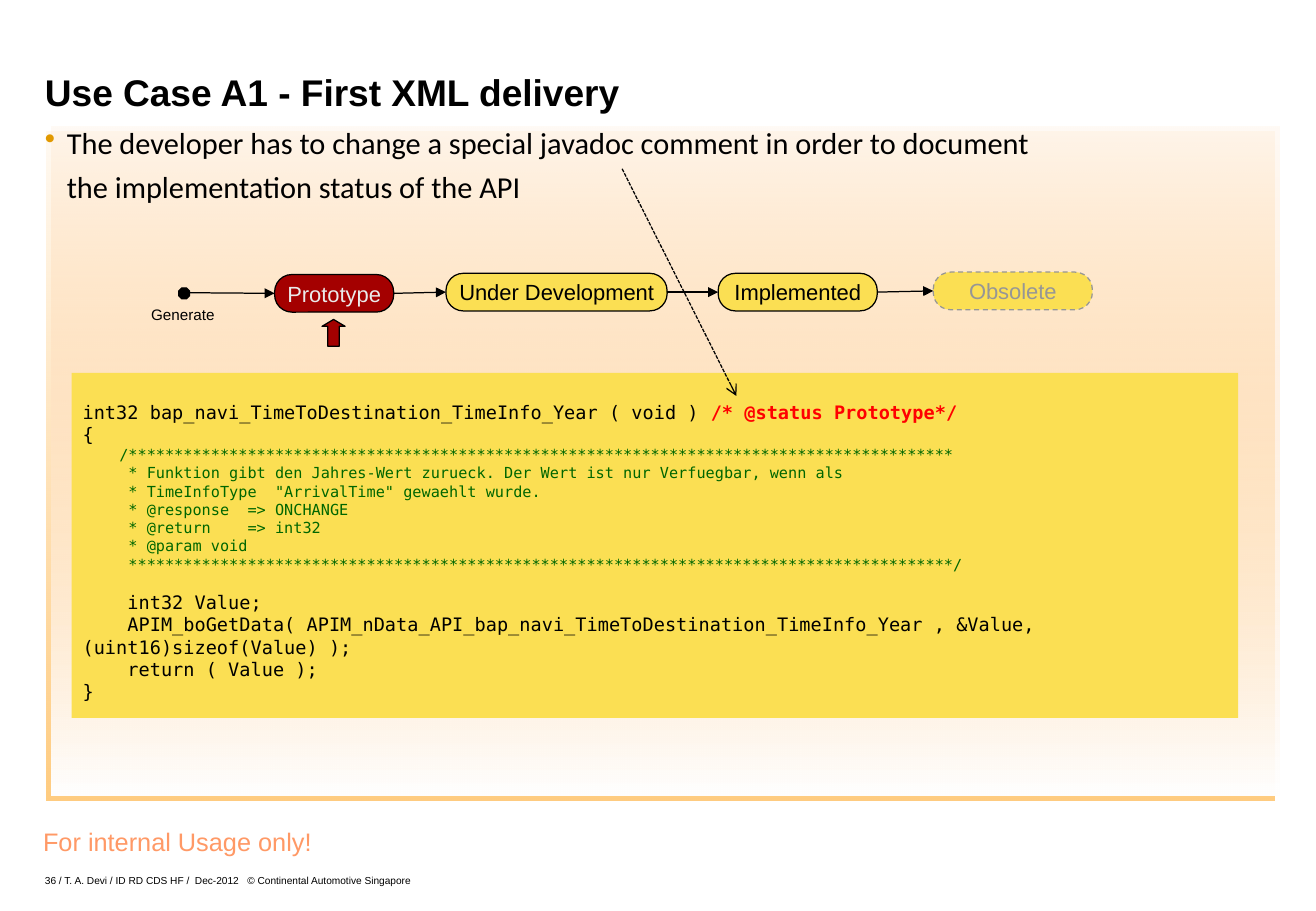
from itertools import pairwise

from lxml.etree import SubElement
from pptx import Presentation
from pptx.dml.color import RGBColor
from pptx.enum.dml import MSO_LINE
from pptx.enum.shapes import MSO_CONNECTOR, MSO_SHAPE
from pptx.enum.text import MSO_ANCHOR, PP_ALIGN
from pptx.oxml import parse_xml
from pptx.oxml.ns import nsdecls, qn
from pptx.util import Emu, Pt

SCALE = 9144
COLORS = {
    "black": "000000", "yellow": "FBDF53", "dark_red": "A40000", "red": "FF0000",
    "green": "006600", "gray": "969696", "light": "EAEAEA", "bullet": "E19900",
    "notice": "FF9966", "peach": "FFCC99", "white": "FFFFFF", "shadow": "FF9900",
}
MONO = "DejaVu Sans Mono"
STARS = "*" * 90
COMMENT_LINES = [
    "    /" + STARS,
    "     * Funktion gibt den Jahres-Wert zurueck. Der Wert ist nur Verfuegbar, wenn als",
    '     * TimeInfoType  "ArrivalTime" gewaehlt wurde.',
    "     * @response  => ONCHANGE",
    "     * @return    => int32",
    "     * @param void",
    "     " + STARS + "/",
]
BODY_LINES = [
    "    int32 Value;",
    "    APIM_boGetData( APIM_nData_API_bap_navi_TimeToDestination_TimeInfo_Year , "
    "&Value, (uint16)sizeof(Value) );",
    "    return ( Value );",
    "}",
]
STATES = [
    ("Prototype", 117, 2, 98, "dark_red", "light", "black"),
    ("Under Development", 258, 1, 182, "yellow", "black", "black"),
    ("Implemented", 482, 1, 131, "yellow", "black", "black"),
    ("Obsolete", 659, 0, 131, "yellow", "gray", "gray"),
]


def px(*lengths):
    """Turn px lengths into EMU."""
    return [Emu(length * SCALE) for length in lengths]


def rgb(name):
    """Look up a named colour."""
    return RGBColor.from_string(COLORS[name])


def write(paragraph, text, size=11, font="Arial", color="black", bold=False,
          align=None, line=None, before=None, after=None):
    """Add formatted text to a paragraph."""
    run = paragraph.add_run()
    run.text = text
    run.font.size, run.font.name, run.font.bold = Pt(size), font, bold
    run.font.color.rgb = rgb(color)
    if align is not None:
        paragraph.alignment = align
    if line is not None:
        paragraph.line_spacing = Pt(line)
    if before is not None:
        paragraph.space_before = Pt(before)
    if after is not None:
        paragraph.space_after = Pt(after)


def set_frame(shape, margins=(0, 0, 0, 0), anchor=MSO_ANCHOR.TOP, wrap=True):
    """Set up a text frame and return it."""
    frame = shape.text_frame
    frame.word_wrap, frame.vertical_anchor = wrap, anchor
    (frame.margin_left, frame.margin_top,
     frame.margin_right, frame.margin_bottom) = px(*margins)
    return frame


def add_label(slide, box, text, margins=(0, 0, 0, 0), anchor=MSO_ANCHOR.BOTTOM,
              wrap=True, **text_format):
    """Add a text box with one paragraph."""
    frame = set_frame(slide.shapes.add_textbox(*px(*box)), margins, anchor, wrap)
    write(frame.paragraphs[0], text, **text_format)


def add_figure(slide, kind, box, fill, line=None, adjustments=()):
    """Add a preset shape with plain fill and line."""
    shape = slide.shapes.add_shape(kind, *px(*box))
    shape.shadow.inherit = False
    for index, value in enumerate(adjustments):
        shape.adjustments[index] = value
    shape.fill.solid()
    shape.fill.fore_color.rgb = rgb(fill)
    if line:
        shape.line.color.rgb, shape.line.width = rgb(line), Pt(0.75)
    else:
        shape.line.fill.background()
    return shape


def add_arrow(slide, start, end, head="triangle", dash=None):
    """Add a thin black arrow."""
    arrow = slide.shapes.add_connector(MSO_CONNECTOR.STRAIGHT, *px(*start, *end))
    arrow.line.color.rgb, arrow.line.width = rgb("black"), Pt(0.75)
    if dash:
        arrow.line.dash_style = dash
    SubElement(arrow.line._get_or_add_ln(), qn("a:tailEnd"), type=head)
    SubElement(arrow._element.spPr, qn("a:effectLst"))
    return arrow


def add_panel(slide, box):
    """Add the fading panel with its offset shadow."""
    panel = add_figure(slide, MSO_SHAPE.RECTANGLE, box, "white")
    properties = panel._element.spPr
    gradient = parse_xml(
        f'<a:gradFill {nsdecls("a")} rotWithShape="1"><a:gsLst><a:gs pos="0">'
        f'<a:srgbClr val="{COLORS["peach"]}"><a:alpha val="10000"/></a:srgbClr></a:gs>'
        f'<a:gs pos="100000"><a:srgbClr val="{COLORS["white"]}"/></a:gs></a:gsLst>'
        '<a:lin ang="5400000" scaled="1"/></a:gradFill>')
    properties.replace(properties.find(qn("a:solidFill")), gradient)
    shadow = SubElement(properties.find(qn("a:effectLst")), qn("a:outerShdw"),
                        dist=str(Pt(4.2)), dir="8100000", algn="ctr", rotWithShape="0")
    color = SubElement(shadow, qn("a:srgbClr"), val=COLORS["shadow"])
    SubElement(color, qn("a:alpha"), val="50000")


def add_statement(slide, box):
    """Add the bulleted statement and its continuation line."""
    frame = set_frame(slide.shapes.add_textbox(*px(*box)))
    first, second = frame.paragraphs[0], frame.add_paragraph()
    text_format = {"size": 18, "font": "Calibri", "line": 16.5, "after": 9.9}
    write(first, "The developer has to change a special javadoc comment in order to document",
          **text_format)
    write(second, "the implementation status of the API", **text_format)
    indent = px(18)[0]
    for paragraph, hanging in ((first, -indent), (second, 0)):
        properties = paragraph._p.get_or_add_pPr()
        properties.set("marL", str(indent))
        properties.set("indent", str(hanging))
    properties = first._p.get_or_add_pPr()
    color = SubElement(properties, qn("a:buClr"))
    SubElement(color, qn("a:srgbClr"), val=COLORS["bullet"])
    SubElement(properties, qn("a:buChar"), char="•")


def add_code(slide, box):
    """Add the code listing."""
    listing = add_figure(slide, MSO_SHAPE.RECTANGLE, box, "yellow")
    frame = set_frame(listing, (9, 23, 9, 5))
    signature = frame.paragraphs[0]
    left = {"font": MONO, "align": PP_ALIGN.LEFT}
    write(signature, "int32 bap_navi_TimeToDestination_TimeInfo_Year ( void ) ", **left)
    write(signature, "/* @status Prototype*/", color="red", bold=True, **left)
    write(frame.add_paragraph(), "{", **left)
    for text in COMMENT_LINES:
        write(frame.add_paragraph(), text, size=9, color="green", **left)
    for index, text in enumerate(BODY_LINES):
        write(frame.add_paragraph(), text, before=0 if index else 10.5, **left)


def add_states(slide, box):
    """Add the row of states with its start point and marker."""
    left, top = box[:2]
    pills = []
    for text, offset, drop, width, fill, color, line in STATES:
        pill = add_figure(slide, MSO_SHAPE.ROUNDED_RECTANGLE,
                          (left + offset, top + drop, width, 31), fill, line, [0.46])
        frame = set_frame(pill, (9, 5, 9, 5), MSO_ANCHOR.MIDDLE, False)
        write(frame.paragraphs[0], text, size=13, color=color, align=PP_ALIGN.CENTER)
        pills.append(pill)
    pills[-1].line.dash_style = MSO_LINE.DASH
    add_figure(slide, MSO_SHAPE.OCTAGON, (left + 38, top + 13, 9, 9), "black", "black")
    add_label(slide, (left, top + 23, 83, 23), "Generate", (9, 5, 9, 5),
              MSO_ANCHOR.MIDDLE, False, size=9, align=PP_ALIGN.CENTER)
    entry = add_arrow(slide, (left + 47, top + 17), (left + 117, top + 17))
    entry.end_connect(pills[0], 1)
    for source, target in pairwise(pills):
        link = add_arrow(slide, (left, top), (left, top))
        link.begin_connect(source, 3)
        link.end_connect(target, 1)
    add_figure(slide, MSO_SHAPE.UP_ARROW, (left + 156, top + 39, 19, 22),
               "dark_red", "black", [0.5, 0.3])


def main():
    """Build and save the slide."""
    presentation = Presentation()
    presentation.slide_width, presentation.slide_height = px(1083, 750)
    slide = presentation.slides.add_slide(presentation.slide_layouts[6])
    add_panel(slide, (42, 104, 1011, 551))
    add_label(slide, (25, 675, 242, 35), "For internal Usage only!", (10, 5, 10, 5),
              MSO_ANCHOR.TOP, False, size=15, color="notice", align=PP_ALIGN.CENTER)
    add_label(slide, (37, 25, 1010, 69), "Use Case A1 - First XML delivery",
              size=22, bold=True, line=24.8)
    add_statement(slide, (37, 109, 1010, 541))
    add_code(slide, (59, 307, 960, 284))
    add_states(slide, (109, 224, 790, 61))
    add_label(slide, (37, 714, 343, 16),
              "36 / T. A. Devi / ID RD CDS HF /  Dec-2012   © Continental Automotive Singapore",
              size=6, line=5.5)
    add_arrow(slide, (512, 139), (606, 326), "arrow", MSO_LINE.SQUARE_DOT)
    presentation.save("out.pptx")


if __name__ == "__main__":
    main()
